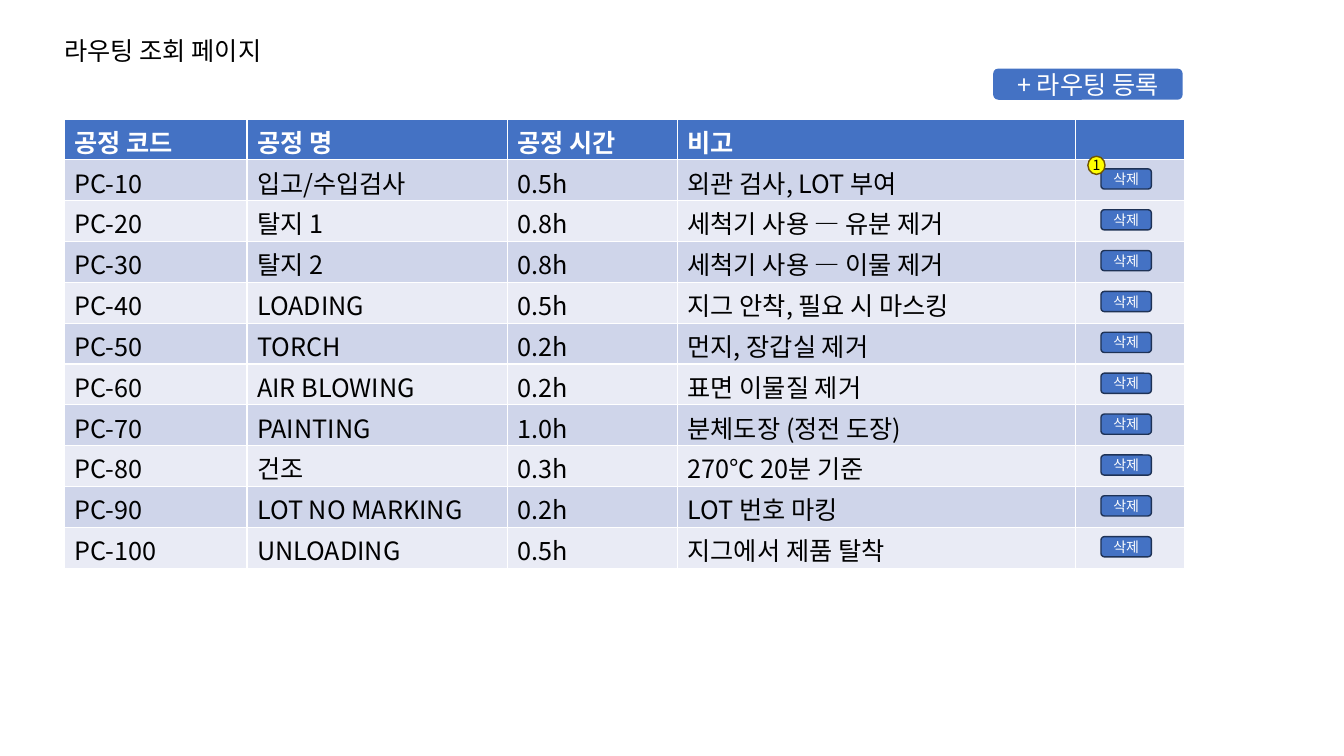
from lxml.etree import SubElement
from pptx import Presentation
from pptx.dml.color import RGBColor
from pptx.enum.shapes import MSO_SHAPE as SHAPE
from pptx.enum.text import MSO_ANCHOR as ANCHOR, MSO_AUTO_SIZE as AUTO, PP_ALIGN as ALIGN
from pptx.oxml.ns import qn
from pptx.util import Inches, Pt

FONT = "Noto Sans CJK KR"
BLUE, NAVY, WHITE, BLACK = "4472C4", "1E3256", "FFFFFF", "000000"
BANDS = "CFD5EA", "E9EBF5"
LEFT, TOP, HEIGHT = 0.64, 1.18, 4.46
COLUMNS = 1.81, 2.58, 1.69, 3.95, 1.08
ROWS = [
    ("공정 코드", "공정 명", "공정 시간", "비고", ""),
    ("PC-10", "입고/수입검사", "0.5h", "외관 검사, LOT 부여", ""),
    ("PC-20", "탈지 1", "0.8h", "세척기 사용 — 유분 제거", ""),
    ("PC-30", "탈지 2", "0.8h", "세척기 사용 — 이물 제거", ""),
    ("PC-40", "LOADING", "0.5h", "지그 안착, 필요 시 마스킹", ""),
    ("PC-50", "TORCH", "0.2h", "먼지, 장갑실 제거", ""),
    ("PC-60", "AIR BLOWING", "0.2h", "표면 이물질 제거", ""),
    ("PC-70", "PAINTING", "1.0h", "분체도장 (정전 도장)", ""),
    ("PC-80", "건조", "0.3h", "270℃ 20분 기준", ""),
    ("PC-90", "LOT NO MARKING", "0.2h", "LOT 번호 마킹", ""),
    ("PC-100", "UNLOADING", "0.5h", "지그에서 제품 탈착", ""),
]
ROW_HEIGHT = HEIGHT / len(ROWS)


def paint(color_format, color):
    """Apply a hex colour to a fill or font colour."""
    color_format.rgb = RGBColor.from_string(color)


def fill(target, color):
    """Give a shape, cell or line a solid fill."""
    target.fill.solid()
    paint(target.fill.fore_color, color)


def write(tf, text, size, color, align=ALIGN.LEFT, bold=False):
    """Set the text of a frame and format its runs."""
    tf.text = text
    for p in tf.paragraphs:
        p.alignment = align
        for r in p.runs:
            r.font.size, r.font.bold, r.font.name = Pt(size), bold, FONT
            paint(r.font.color, color)
            SubElement(r.font._element, qn("a:ea"), typeface=FONT)


def add_title(slide, text):
    """Place the page title in its placeholder."""
    sp = slide.shapes.title
    sp.left, sp.top, sp.width, sp.height = map(Inches, (0.54, 0.3, 3.87, 0.4))
    tf = sp.text_frame
    tf.auto_size, tf.vertical_anchor = AUTO.NONE, ANCHOR.TOP
    write(tf, text, 18, BLACK)


def add_routing_table(slide):
    """Add the banded table of process steps."""
    frame = slide.shapes.add_table(
        len(ROWS), len(COLUMNS), Inches(LEFT), Inches(TOP),
        Inches(sum(COLUMNS)), Inches(HEIGHT))
    table = frame.table
    for column, width in zip(table.columns, COLUMNS):
        column.width = Inches(width)
    for i, texts in enumerate(ROWS):
        header = i == 0
        table.rows[i].height = Inches(ROW_HEIGHT)
        for cell, text in zip(table.rows[i].cells, texts):
            cell.margin_top, cell.margin_bottom = Inches(0.04), 0
            fill(cell, BLUE if header else BANDS[(i - 1) % 2])
            write(cell.text_frame, text, 18, WHITE if header else BLACK, bold=header)


def add_label(slide, kind, box, text, size, color, back, border=None):
    """Add a filled shape with centred text."""
    sp = slide.shapes.add_shape(kind, *map(Inches, box))
    sp.shadow.inherit = False
    fill(sp, back)
    if border:
        fill(sp.line, border)
        sp.line.width = Pt(1)
    else:
        sp.line.fill.background()
    tf = sp.text_frame
    tf.margin_left = tf.margin_right = tf.margin_top = tf.margin_bottom = 0
    tf.vertical_anchor = ANCHOR.MIDDLE
    write(tf, text, size, color, ALIGN.CENTER)


def main():
    """Build the routing page and save it."""
    prs = Presentation()
    prs.slide_width, prs.slide_height = Inches(13.33), Inches(7.5)
    slide = prs.slides.add_slide(prs.slide_layouts[5])
    add_title(slide, "라우팅 조회 페이지")
    add_routing_table(slide)
    for row in range(1, len(ROWS)):
        box = 10.92, TOP + row * ROW_HEIGHT + 0.09, 0.5, 0.2
        add_label(slide, SHAPE.ROUNDED_RECTANGLE, box, "삭제", 10, WHITE, BLUE, NAVY)
    add_label(slide, SHAPE.FLOWCHART_CONNECTOR, (10.79, 1.55, 0.17, 0.18),
              "1", 10, BLACK, "FFFF00", "705400")
    add_label(slide, SHAPE.ROUNDED_RECTANGLE, (9.85, 0.68, 1.88, 0.31),
              "+ 라우팅 등록", 18, WHITE, BLUE)
    prs.save("out.pptx")


if __name__ == "__main__":
    main()
